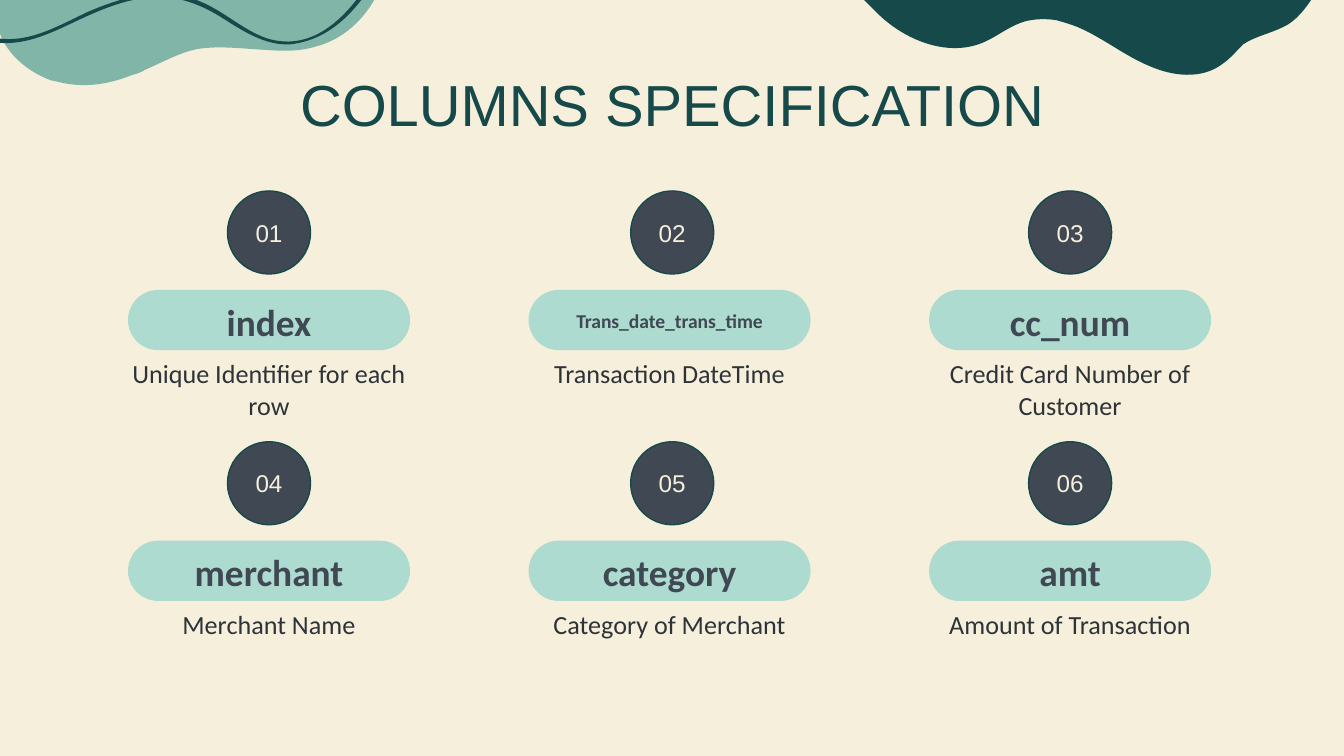
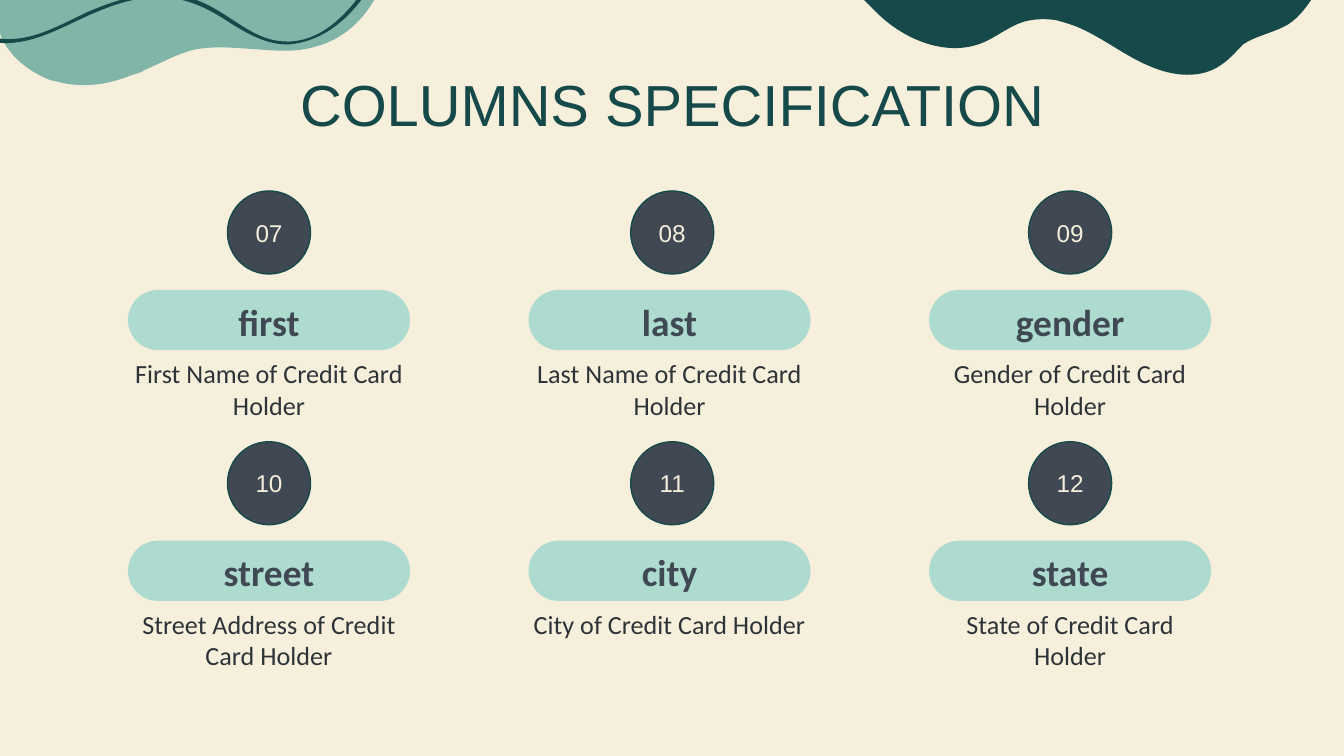
from lxml import etree
from pptx import Presentation
from pptx import util as u
from pptx.dml import color
from pptx.enum import shapes, text
from pptx.oxml import ns

CREAM, TEAL, SAGE = "F6EFDC", "164A4A", "81B5A8"
MINT, SLATE, INK = "ADDBD0", "3F4853", "2E3338"
HEAD_FONT, BODY_FONT = "Arial", "Calibri"

PAGE_WIDTH, PAGE_HEIGHT = 25.4, 14.29
CARD_LEFT, CARD_TOP = 2.42, 3.61
COLUMN_STEP, ROW_STEP = 7.57, 4.74
COLUMNS = 3
CARD_WIDTH, PILL_HEIGHT, BADGE_SIZE = 5.33, 1.14, 1.57
BADGE_NUDGES = (0, 0.05, 0)  # the middle badge sits on the page centre

# Outlines count in hundredths of an inch from the top left of their box.
GRID = 0.0254

# Each outline: left and top in cm, fill, start point, cubic curves.
SAGE_BLOB = (-0.1, -0.13, SAGE, (0, 0), [
    (0, 11, 1, 22, 5, 33), (12, 48, 26, 59, 42, 65),
    (44, 65, 46, 66, 47, 66), (66, 71, 85, 68, 102, 61),
    (106, 60, 109, 59, 112, 57), (124, 52, 136, 45, 149, 42),
    (164, 39, 181, 41, 197, 42), (211, 43, 225, 44, 238, 40),
    (259, 35, 276, 19, 285, 0)])
TEAL_BLOB = (16.23, -0.1, TEAL, (0, 0), [
    (5, 5, 10, 10, 15, 15), (36, 35, 68, 47, 94, 35),
    (105, 30, 115, 21, 128, 19), (134, 18, 140, 18, 147, 19),
    (154, 21, 161, 23, 167, 26), (184, 34, 199, 46, 216, 53),
    (234, 61, 255, 63, 270, 52), (276, 48, 281, 42, 286, 37),
    (295, 31, 306, 29, 316, 24), (325, 20, 333, 10, 339, 0)])
TEAL_WAVE = (-1.7, -0.94, TEAL, (3, 9), [
    (17, 39, 40, 68, 77, 66), (96, 65, 115, 54, 132, 46),
    (148, 39, 164, 34, 181, 32), (196, 31, 211, 35, 224, 42),
    (239, 50, 251, 61, 267, 66), (310, 78, 338, 32, 355, 1),
    (356, 0, 358, 1, 357, 3), (341, 33, 320, 66, 283, 70),
    (266, 71, 251, 62, 238, 54), (220, 42, 203, 34, 181, 35),
    (160, 36, 140, 45, 121, 54), (104, 62, 87, 70, 68, 69),
    (36, 68, 13, 37, 1, 10), (0, 9, 2, 7, 3, 9)])

TITLE = "COLUMNS SPECIFICATION"
# Each field: name, description, size of the name in points.
PAGES = [
    [("index", "Unique Identifier for each row", 20),
     ("Trans_date_trans_time", "Transaction DateTime", 10.5),
     ("cc_num", "Credit Card Number of Customer", 20),
     ("merchant", "Merchant Name", 20),
     ("category", "Category of Merchant", 20),
     ("amt", "Amount of Transaction", 20)],
    [("first", "First Name of Credit Card Holder", 20),
     ("last", "Last Name of Credit Card Holder", 20),
     ("gender", "Gender of Credit Card Holder", 20),
     ("street", "Street Address of Credit Card Holder", 20),
     ("city", "City of Credit Card Holder", 20),
     ("state", "State of Credit Card Holder", 20)],
]


def paint(fill, hex_color):
    fill.solid()
    fill.fore_color.rgb = color.RGBColor.from_string(hex_color)


def style_shape(shape, fill, line=None):
    shape.shadow.inherit = False
    paint(shape.fill, fill)
    if line:
        paint(shape.line.fill, line)
        shape.line.width = u.Pt(0.75)
    else:
        shape.line.fill.background()


def write(box, words, size, font, hex_color, bold=False, middle=False, inset=0):
    """Put one centred paragraph in a shape or text box."""
    frame = box.text_frame
    frame.word_wrap = True
    frame.margin_left = frame.margin_right = u.Cm(inset)
    frame.margin_top = frame.margin_bottom = u.Cm(inset)
    anchors = text.MSO_ANCHOR
    frame.vertical_anchor = anchors.MIDDLE if middle else anchors.TOP
    para = frame.paragraphs[0]
    para.alignment = text.PP_ALIGN.CENTER
    span = para.add_run()
    span.text = words
    span.font.size = u.Pt(size)
    span.font.name = font
    span.font.bold = bold
    paint(span.font.fill, hex_color)


def add_text(page, left, top, width, height, *words, **options):
    box = page.shapes.add_textbox(u.Cm(left), u.Cm(top), u.Cm(width), u.Cm(height))
    write(box, *words, **options)


def add_preset(page, kind, left, top, width, height, fill, line=None):
    shape = page.shapes.add_shape(
        kind, u.Cm(left), u.Cm(top), u.Cm(width), u.Cm(height))
    style_shape(shape, fill, line)
    return shape


def bend(shape):
    """Turn each three straight segments of a freeform into one cubic curve."""
    segments = list(shape.element.iter(ns.qn("a:lnTo")))
    for first in range(0, len(segments) - 2, 3):
        curve = etree.Element(ns.qn("a:cubicBezTo"))
        segments[first].addprevious(curve)
        for segment in segments[first:first + 3]:
            curve.append(segment[0])
            segment.getparent().remove(segment)


def add_outline(page, left, top, fill, start, curves):
    def place(x, y):
        return u.Cm(left + x * GRID), u.Cm(top + y * GRID)

    builder = page.shapes.build_freeform(*place(*start))
    builder.add_line_segments(
        [place(*curve[i:i + 2]) for curve in curves for i in (0, 2, 4)], close=True)
    shape = builder.convert_to_shape()
    bend(shape)
    style_shape(shape, fill)


def add_field_card(page, left, top, number, field, badge_nudge):
    """Stack a numbered badge, a name pill and a description."""
    name, description, name_size = field
    kinds = shapes.MSO_SHAPE
    pill = add_preset(page, kinds.ROUNDED_RECTANGLE, left, top + 1.87,
                      CARD_WIDTH, PILL_HEIGHT, MINT)
    pill.adjustments[0] = 0.5
    add_text(page, left, top + 1.89, CARD_WIDTH, PILL_HEIGHT,
             name, name_size, BODY_FONT, SLATE, bold=True, middle=True)
    add_text(page, left, top + 3.15, CARD_WIDTH, 1.27,
             description, 14, BODY_FONT, INK)
    badge_left = left + (CARD_WIDTH - BADGE_SIZE) / 2 + badge_nudge
    badge = add_preset(page, kinds.OVAL, badge_left, top,
                       BADGE_SIZE, BADGE_SIZE, SLATE, TEAL)
    write(badge, f"{number:02}", 13, HEAD_FONT, CREAM, middle=True, inset=0.25)


def add_page(deck, fields, first_number):
    page = deck.slides.add_slide(deck.slide_layouts[6])
    paint(page.background.fill, CREAM)
    for outline in (SAGE_BLOB, TEAL_BLOB, TEAL_WAVE):
        add_outline(page, *outline)
    add_text(page, 1.98, 1.3, 21.44, 1.27, TITLE, 31, HEAD_FONT, TEAL)
    for index, field in enumerate(fields):
        row, column = divmod(index, COLUMNS)
        add_field_card(page, CARD_LEFT + column * COLUMN_STEP,
                       CARD_TOP + row * ROW_STEP,
                       first_number + index, field, BADGE_NUDGES[column])


def main():
    deck = Presentation()
    deck.slide_width, deck.slide_height = u.Cm(PAGE_WIDTH), u.Cm(PAGE_HEIGHT)
    first_number = 1
    for fields in PAGES:
        add_page(deck, fields, first_number)
        first_number += len(fields)
    deck.save("out.pptx")


if __name__ == "__main__":
    main()
